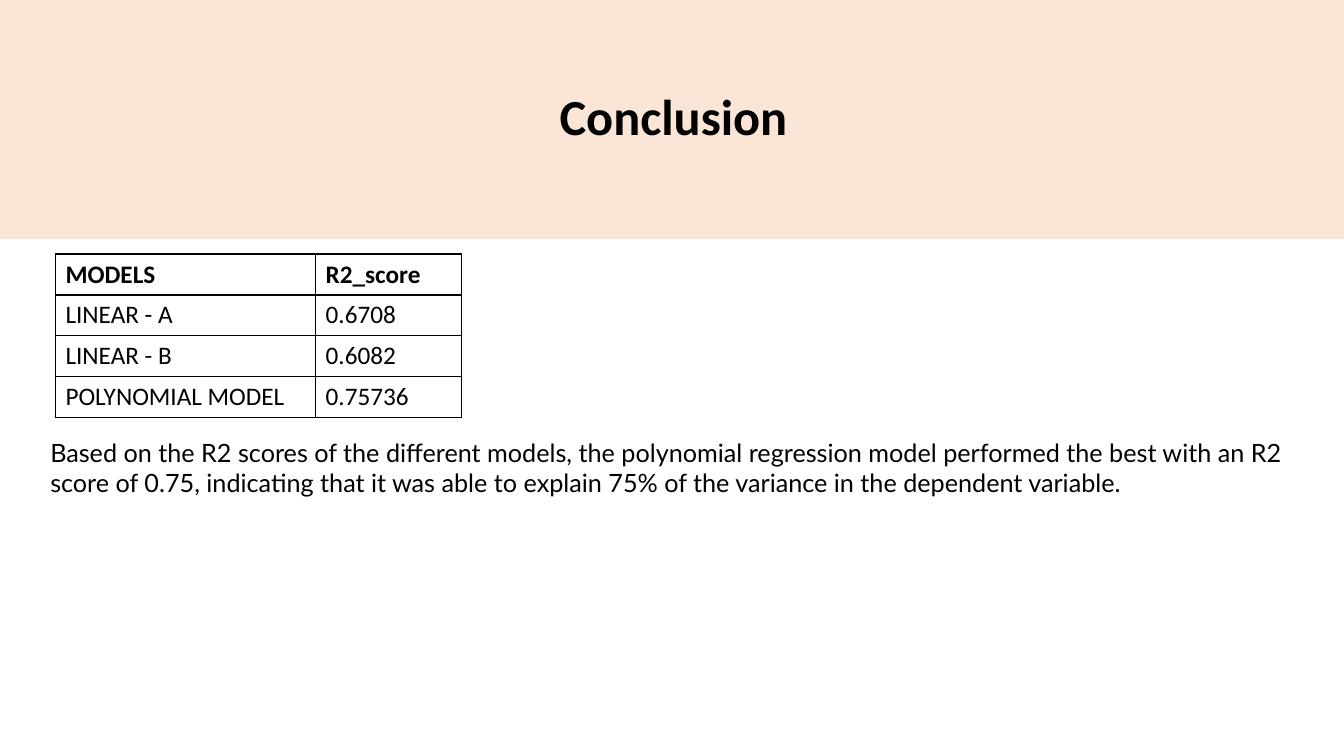
"""Build the conclusion slide: title band, model score table and closing remark."""
from lxml import etree
from pptx import Presentation
from pptx import util as u
from pptx.dml.color import RGBColor
from pptx.enum import shapes, text
from pptx.oxml.ns import qn

TITLE = "Conclusion"
SCORES = [
    ("MODELS", "R2_score"),
    ("LINEAR - A", "0.6708"),
    ("LINEAR - B", "0.6082"),
    ("POLYNOMIAL MODEL", "0.75736"),
]
REMARK = (
    "Based on the R2 scores of the different models, the polynomial regression model "
    "performed the best with an R2 score of 0.75, indicating that it was able to explain "
    "75% of the variance in the dependent variable."
)

THEME = {
    "ink": "000000", "band": "FBE5D6",
    "title_font": "Calibri", "remark_font": "Lato",
    "title_size": 36, "body_size": 18,
    "rule": 1, "header_rule": 2,
}
SLIDE_WIDTH, SLIDE_HEIGHT = 13.33, 7.5
BAND_HEIGHT = 2.37
TITLE_BOX = (4.42, 0.67, 4.52, 1.03)
REMARK_BOX = (0.4, 4.29, 12.62, 0.72)
TABLE_LEFT, TABLE_TOP = 0.55, 2.52
COLUMN_WIDTHS = (2.58, 1.45)
ROW_HEIGHT = 0.405


def style(paragraph, font_name, size, bold=False):
    font = paragraph.font
    font.name, font.size, font.bold = font_name, u.Pt(size), bold
    font.color.rgb = RGBColor.from_string(THEME["ink"])


def add_text(slide, box, wording, anchor):
    frame = slide.shapes.add_textbox(*map(u.Inches, box)).text_frame
    frame.word_wrap = True
    frame.vertical_anchor = anchor
    frame.text = wording
    return frame.paragraphs[0]


def add_borders(cell, bottom_width):
    properties = cell._tc.get_or_add_tcPr()
    for side in "LRTB":
        width = bottom_width if side == "B" else THEME["rule"]
        line = etree.SubElement(properties, qn(f"a:ln{side}"), w=str(u.Pt(width)))
        fill = etree.SubElement(line, qn("a:solidFill"))
        etree.SubElement(fill, qn("a:srgbClr"), val=THEME["ink"])


def add_scores(slide):
    size = (sum(COLUMN_WIDTHS), ROW_HEIGHT * len(SCORES))
    table = slide.shapes.add_table(
        len(SCORES), len(COLUMN_WIDTHS),
        *map(u.Inches, (TABLE_LEFT, TABLE_TOP, *size)),
    ).table
    table.horz_banding = False
    for column, width in zip(table.columns, COLUMN_WIDTHS):
        column.width = u.Inches(width)
    for row, entries in enumerate(SCORES):
        header = row == 0
        for column, entry in enumerate(entries):
            cell = table.cell(row, column)
            cell.text = entry
            style(cell.text_frame.paragraphs[0], THEME["title_font"], THEME["body_size"], header)
            add_borders(cell, THEME["header_rule" if header else "rule"])
            cell.fill.background()


def main():
    deck = Presentation()
    deck.slide_width, deck.slide_height = u.Inches(SLIDE_WIDTH), u.Inches(SLIDE_HEIGHT)
    slide = deck.slides.add_slide(deck.slide_layouts[6])

    band = slide.shapes.add_shape(
        shapes.MSO_SHAPE.RECTANGLE, 0, 0, deck.slide_width, u.Inches(BAND_HEIGHT)
    )
    band.shadow.inherit = False
    band.fill.solid()
    band.fill.fore_color.rgb = RGBColor.from_string(THEME["band"])
    band.line.fill.background()

    title = add_text(slide, TITLE_BOX, TITLE, text.MSO_ANCHOR.MIDDLE)
    title.alignment = text.PP_ALIGN.CENTER
    title.line_spacing = 0.9
    style(title, THEME["title_font"], THEME["title_size"], bold=True)

    remark = add_text(slide, REMARK_BOX, REMARK, text.MSO_ANCHOR.TOP)
    style(remark, THEME["remark_font"], THEME["body_size"])

    add_scores(slide)
    deck.save("out.pptx")


if __name__ == "__main__":
    main()
